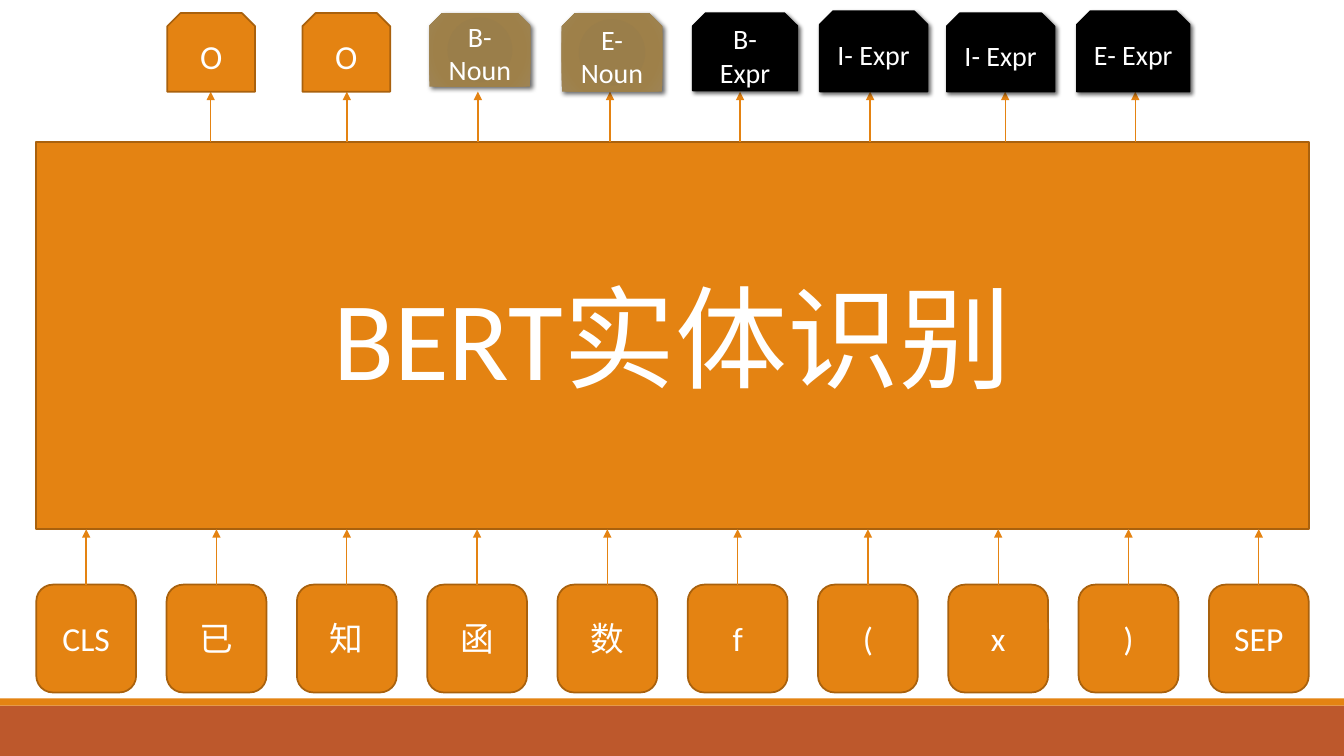
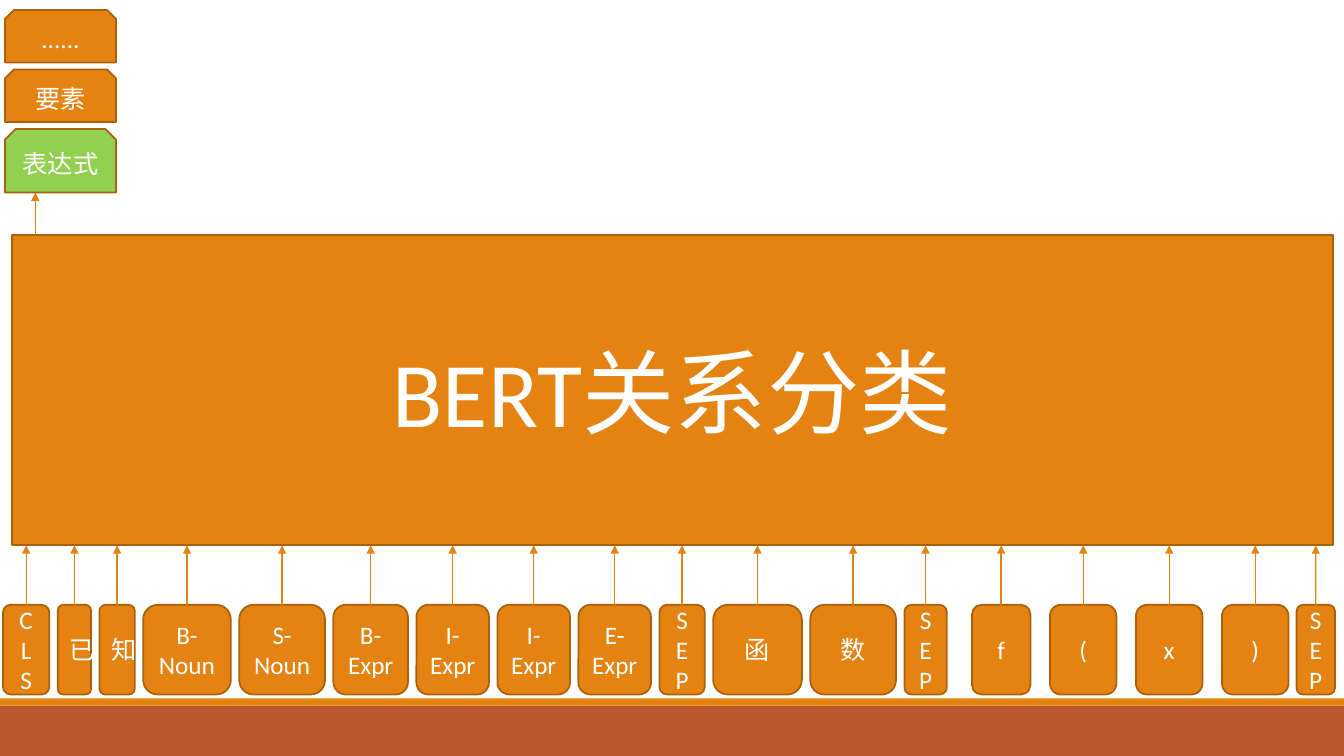
import pptx
import pptx.dml.color
import pptx.enum.shapes
import pptx.enum.text
import pptx.oxml
import pptx.oxml.ns
import pptx.util
from lxml import etree

RGB = pptx.dml.color.RGBColor
SHAPE = pptx.enum.shapes.MSO_SHAPE
Inches = pptx.util.Inches
Pt = pptx.util.Pt
qn = pptx.oxml.ns.qn

ORANGE = RGB(0xE4, 0x83, 0x12)
BROWN = RGB(0xA9, 0x61, 0x0D)
RUST = RGB(0xBD, 0x58, 0x2C)
GREEN = RGB(0x92, 0xD0, 0x50)
BLACK = RGB(0, 0, 0)
WHITE = RGB(0xFF, 0xFF, 0xFF)
NOUN_STOPS = [(0, RGB(0x9A, 0x7D, 0x48)), (34, RGB(0x9A, 0x7E, 0x4A)),
              (70, RGB(0x9E, 0x80, 0x49)), (100, RGB(0x9E, 0x84, 0x54))]
FONT = "Calibri"
SLIDE_W, SLIDE_H = 13.33, 7.5

ENTITY_BLOCK = (0.36, 1.41, 12.62, 3.84)
ENTITY_TOKENS = [(text, 0.99) for text in
                 ("CLS", "已", "知", "函", "数", "f", "(", "x", ")", "SEP")]
ENTITY_TAGS = [
    ("O", "plain", (1.66, 0.13, 0.87, 0.78), 2.09),
    ("O", "plain", (3.0, 0.13, 0.87, 0.78), 3.44),
    ("B-Noun", "noun", (4.26, 0.13, 1.0, 0.73), 4.74),
    ("E-Noun", "noun", (5.57, 0.13, 1.0, 0.78), 6.05),
    ("B-Expr", "expr", (6.87, 0.13, 1.04, 0.77), 7.34),
    ("I- Expr", "expr", (8.13, 0.11, 1.07, 0.8), 8.63),
    ("I- Expr", "expr", (9.39, 0.13, 1.07, 0.78), 9.97),
    ("E- Expr", "expr", (10.68, 0.11, 1.12, 0.8), 11.26),
]
RELATION_BLOCK = (0.12, 2.33, 13.1, 3.08)
RELATION_ROWS = [
    ((0.03, 6, 9.36, 0.89),
     [("CLS", 0.46), ("已", 0.33), ("知", 0.35), ("B-Noun", 0.87),
      ("S-Noun", 0.85), ("B-Expr", 0.74), ("I-Expr", 0.72), ("I-Expr", 0.72),
      ("E-Expr", 0.72), ("SEP", 0.45), ("函", 0.88), ("数", 0.85), ("SEP", 0.42)]),
    ((9.64, 6, 3.14, 0.89), [("f", 0.58), ("(", 0.66), ("x", 0.66), (")", 0.66)]),
    ((12.86, 6, 0.38, 0.89), [("SEP", 0.38)]),
]
RELATION_CLASSES = [("......", 0.1, 0.52, ORANGE), ("要素", 0.69, 0.52, ORANGE),
                    ("表达式", 1.28, 0.63, GREEN)]


def add_box(slide, kind, box, text="", size=18, fill=ORANGE, line=BROWN, weight=1.25):
    """Draw a filled shape with centred white text."""
    sp = slide.shapes.add_shape(kind, *map(Inches, box))
    sp.shadow.inherit = False
    sp.fill.solid()
    sp.fill.fore_color.rgb = fill
    if line is None:
        sp.line.fill.background()
    else:
        sp.line.color.rgb = line
        sp.line.width = Pt(weight)
    if text:
        tf = sp.text_frame
        tf.word_wrap = True
        tf.vertical_anchor = pptx.enum.text.MSO_ANCHOR.MIDDLE
        p = tf.paragraphs[0]
        p.alignment = pptx.enum.text.PP_ALIGN.CENTER
        r = p.add_run()
        r.text = text
        r.font.size = Pt(size)
        r.font.name = FONT
        r.font.color.rgb = WHITE
    return sp


def add_arrow(slide, x, start, end):
    """Draw a vertical arrow from one height to another."""
    line = slide.shapes.add_connector(pptx.enum.shapes.MSO_CONNECTOR.STRAIGHT,
                                      *map(Inches, (x, start, x, end)))
    line.line.color.rgb = ORANGE
    line.line.width = Pt(1)
    etree.SubElement(line.line._get_or_add_ln(), qn("a:tailEnd"), type="triangle")
    etree.SubElement(line.element.spPr, qn("a:effectLst"))
    return line


def add_shadow(sp, blur):
    """Cast a soft shadow to the lower right."""
    effects = sp.element.spPr.find(qn("a:effectLst"))
    shadow = etree.SubElement(effects, qn("a:outerShdw"), blurRad=str(Pt(blur)),
                              dist=str(Pt(2)), dir="2700000", algn="tl", rotWithShape="0")
    color = etree.SubElement(shadow, qn("a:srgbClr"), val=str(BLACK))
    etree.SubElement(color, qn("a:alpha"), val="60000")


def fill_radial(sp, stops):
    """Replace a solid fill by a circular gradient."""
    spPr = sp.element.spPr
    grad = etree.Element(qn("a:gradFill"), rotWithShape="1")
    stop_list = etree.SubElement(grad, qn("a:gsLst"))
    for share, color in stops:
        stop = etree.SubElement(stop_list, qn("a:gs"), pos=str(share * 1000))
        etree.SubElement(stop, qn("a:srgbClr"), val=str(color))
    circle = etree.SubElement(grad, qn("a:path"), path="circle")
    etree.SubElement(circle, qn("a:fillToRect"), {side: "100000" for side in "ltrb"})
    spPr.replace(spPr.find(qn("a:solidFill")), grad)


def add_token_row(slide, box, tokens, size, target):
    """Spread tokens evenly over a box, each with an arrow up to the target."""
    x, y, w, h = box
    gap = (w - sum(width for _, width in tokens)) / max(len(tokens) - 1, 1)
    for text, width in tokens:
        sp = add_box(slide, SHAPE.ROUNDED_RECTANGLE, (x, y, width, h), text, size)
        add_arrow(slide, x + width / 2, y, target).begin_connect(sp, 0)
        x += width + gap


def add_tag(slide, text, style, box):
    """Draw an output tag in the style of its entity type."""
    kind = SHAPE.SNIP_2_SAME_RECTANGLE
    if style == "plain":
        add_box(slide, kind, box, text, 24)
    elif style == "noun":
        sp = add_box(slide, kind, box, text, 20, line=None)
        fill_radial(sp, NOUN_STOPS)
        add_shadow(sp, 3.5)
    else:
        sp = add_box(slide, kind, box, text, 20, BLACK, BLACK, 1)
        add_shadow(sp, 3)


def add_bands(slide, layout):
    """Draw the bottom bands and move them to the shared layout."""
    for top, height, color in ((7, 0.5, RUST), (6.93, 0.07, ORANGE)):
        sp = add_box(slide, SHAPE.RECTANGLE, (0, top, SLIDE_W, height), fill=color, line=None)
        layout.shapes.element.append(sp.element)


def fill_entity_slide(slide):
    """Show the tagging of each token as part of an entity."""
    x, top, w, h = ENTITY_BLOCK
    add_box(slide, SHAPE.RECTANGLE, ENTITY_BLOCK, "BERT实体识别", 80)
    add_token_row(slide, (x, 5.8, w, 1.07), ENTITY_TOKENS, 24, top + h)
    for text, style, box, arrow_x in ENTITY_TAGS:
        add_arrow(slide, arrow_x, top, 0.91)
        add_tag(slide, text, style, box)


def fill_relation_slide(slide):
    """Show the classification of the relation between two entities."""
    x, top, w, h = RELATION_BLOCK
    add_box(slide, SHAPE.RECTANGLE, RELATION_BLOCK, "BERT关系分类", 66)
    for box, tokens in RELATION_ROWS:
        add_token_row(slide, box, tokens, 18, top + h)
    add_arrow(slide, 0.35, top, 1.91)
    for text, y, height, color in RELATION_CLASSES:
        add_box(slide, SHAPE.SNIP_2_SAME_RECTANGLE, (0.05, y, 1.1, height), text, 18, color)


def main():
    """Build and save the presentation."""
    prs = pptx.Presentation()
    prs.slide_width, prs.slide_height = Inches(SLIDE_W), Inches(SLIDE_H)
    layout = prs.slide_layouts[6]
    entity, relation = (prs.slides.add_slide(layout) for _ in range(2))
    add_bands(entity, layout)
    fill_entity_slide(entity)
    fill_relation_slide(relation)
    prs.save("out.pptx")


if __name__ == "__main__":
    main()
